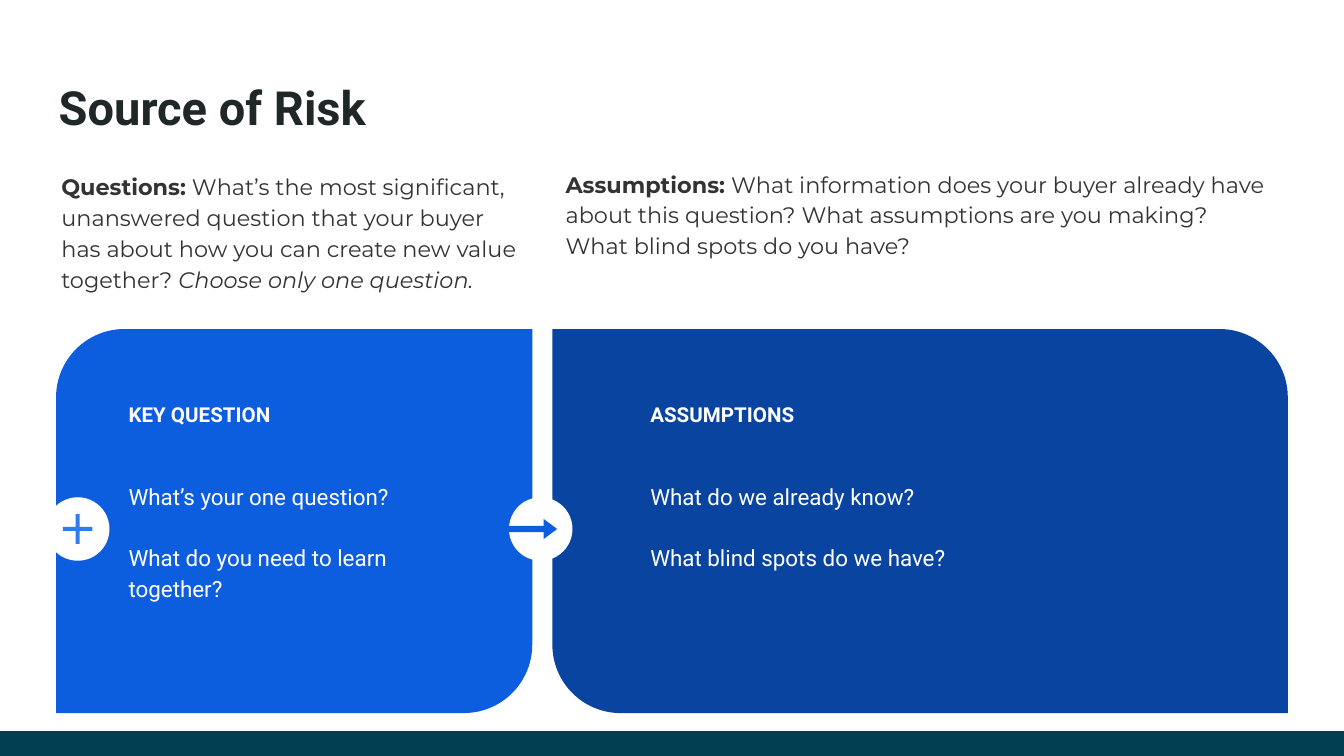
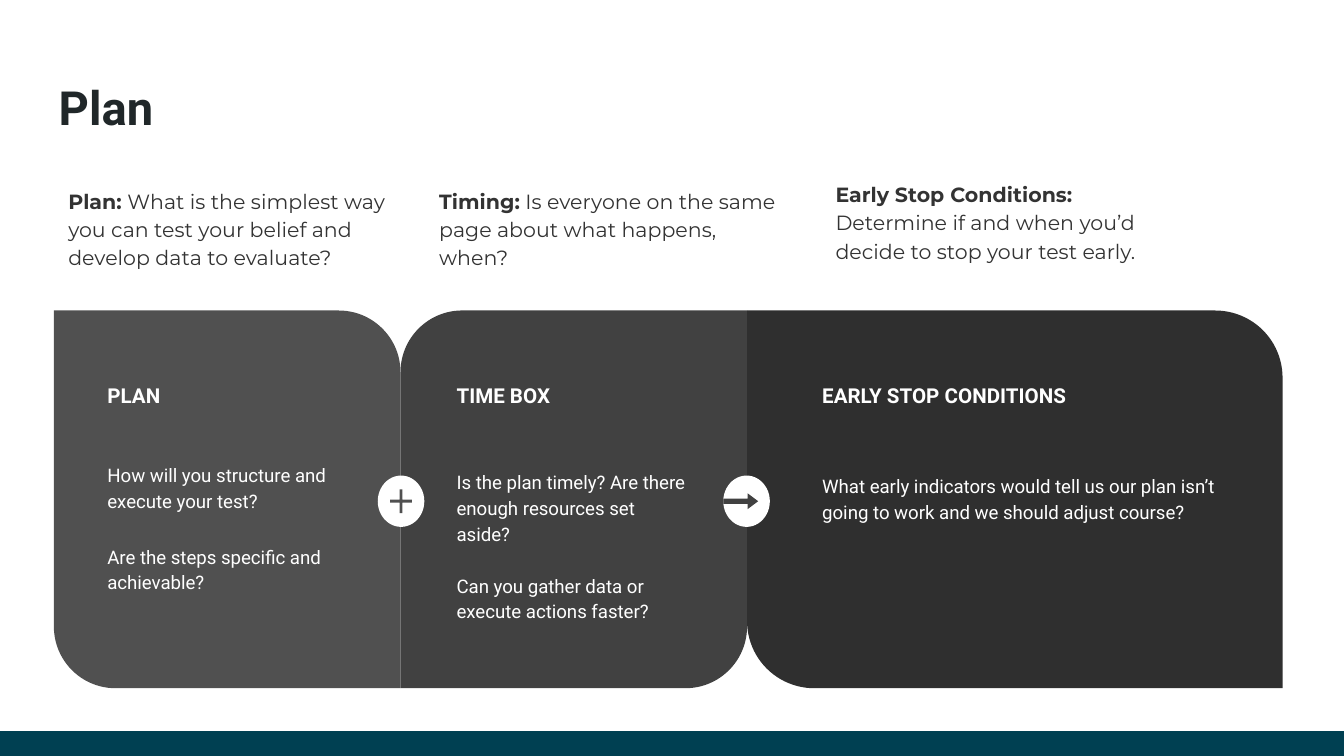
"""Build the two planning slides: Source of Risk and Plan."""
from dataclasses import dataclass

from lxml import etree
from pptx import Presentation
from pptx import util as u
from pptx.dml import color
from pptx.enum import shapes, text
from pptx.oxml import ns


@dataclass(frozen=True)
class Theme:
    ink: str = "202729"
    copy: str = "333333"
    white: str = "FFFFFF"
    band: str = "004052"
    blue: str = "0D5DDF"
    navy: str = "0944A1"
    sky: str = "307BF3"
    light_grey: str = "505050"
    mid_grey: str = "414141"
    dark_grey: str = "2F2F2F"
    title_font: str = "Roboto"
    intro_font: str = "Montserrat"
    title_size: float = 25.2
    heading_size: float = 11
    line_spacing: float = 1.15
    inset: float = 0.25
    corner: float = 0.178


THEME = Theme()


@dataclass(frozen=True)
class Area:
    left: float
    top: float
    width: float
    height: float


@dataclass(frozen=True)
class Span:
    words: str
    bold: bool = False
    italic: bool = False
    break_after: bool = False


@dataclass(frozen=True)
class Intro:
    area: Area
    spans: tuple[Span, ...]


@dataclass(frozen=True)
class Panel:
    area: Area
    fill: str
    rounded_top_left: bool
    heading: str
    heading_area: Area
    prompts: tuple[str, ...]
    prompt_area: Area
    gap: float = 16


@dataclass(frozen=True)
class Badge:
    area: Area
    glyph_width: float
    glyph_height: float
    fill: str
    arrow: bool


@dataclass(frozen=True)
class Content:
    title: str
    intro_size: float
    prompt_size: float
    intros: tuple[Intro, ...]
    panels: tuple[Panel, ...]
    badges: tuple[Badge, ...]


def lengths(area: Area) -> tuple:
    return u.Cm(area.left), u.Cm(area.top), u.Cm(area.width), u.Cm(area.height)


def place(box, area: Area) -> None:
    box.left, box.top, box.width, box.height = lengths(area)


def prepare_frame(box):
    frame = box.text_frame
    frame.word_wrap = True
    frame.auto_size = text.MSO_AUTO_SIZE.NONE
    frame.vertical_anchor = text.MSO_ANCHOR.TOP
    frame.margin_left = frame.margin_right = u.Cm(THEME.inset)
    frame.margin_top = frame.margin_bottom = u.Cm(THEME.inset)
    return frame


def style_span(span, font: str, size: float, ink: str, bold=False, italic=False) -> None:
    span.font.name = font
    span.font.size = u.Pt(size)
    span.font.color.rgb = color.RGBColor.from_string(ink)
    span.font.bold = bold
    span.font.italic = italic


def add_solid(owner, kind, area: Area, fill: str, adjustments: tuple = ()):
    shape = owner.shapes.add_shape(kind, *lengths(area))
    shape.shadow.inherit = False
    shape.fill.solid()
    shape.fill.fore_color.rgb = color.RGBColor.from_string(fill)
    shape.line.fill.background()
    for index, value in enumerate(adjustments):
        shape.adjustments[index] = value
    return shape


def add_words(owner, area: Area, lines: tuple[str, ...], size: float,
              bold=False, spacing=1.0, gap=0.0) -> None:
    frame = prepare_frame(owner.shapes.add_textbox(*lengths(area)))
    frame.text = "\n".join(lines)
    for index, para in enumerate(frame.paragraphs):
        para.line_spacing = spacing
        para.space_before = u.Pt(gap if index else 0)
        for span in para.runs:
            style_span(span, THEME.title_font, size, THEME.white, bold)


def add_panel(page, panel: Panel, prompt_size: float) -> None:
    group = page.shapes.add_group_shape()
    corners = (THEME.corner, 0) if panel.rounded_top_left else (0, THEME.corner)
    add_solid(group, shapes.MSO_SHAPE.ROUND_2_DIAG_RECTANGLE, panel.area, panel.fill, corners)
    add_words(group, panel.heading_area, (panel.heading,), THEME.heading_size, bold=True)
    add_words(group, panel.prompt_area, panel.prompts, prompt_size,
              spacing=THEME.line_spacing, gap=panel.gap)


def add_badge(page, badge: Badge) -> None:
    group = page.shapes.add_group_shape()
    disc = badge.area
    add_solid(group, shapes.MSO_SHAPE.OVAL, disc, THEME.white)
    indent = 0 if badge.arrow else (disc.width - badge.glyph_width) / 2
    glyph = Area(disc.left + indent, disc.top + (disc.height - badge.glyph_height) / 2,
                 badge.glyph_width, badge.glyph_height)
    if badge.arrow:
        add_solid(group, shapes.MSO_SHAPE.RIGHT_ARROW, glyph, badge.fill, (0.32, 0.67))
    else:
        add_solid(group, shapes.MSO_SHAPE.MATH_PLUS, glyph, badge.fill, (0.099,))


def fill_title(page, words: str) -> None:
    title = page.shapes.title
    place(title, Area(0.86, 1.24, 23.67, 1.6))
    prepare_frame(title).text = words
    para = title.text_frame.paragraphs[0]
    para.alignment = text.PP_ALIGN.LEFT
    style_span(para.runs[0], THEME.title_font, THEME.title_size, THEME.ink, bold=True)


def fill_intro(box, intro: Intro, size: float) -> None:
    place(box, intro.area)
    para = prepare_frame(box).paragraphs[0]
    para.line_spacing = THEME.line_spacing
    para.space_before = u.Pt(0)
    settings = para._p.get_or_add_pPr()
    settings.set("marL", "0")
    settings.set("indent", "0")
    etree.SubElement(settings, ns.qn("a:buNone"))
    for item in intro.spans:
        span = para.add_run()
        span.text = item.words
        style_span(span, THEME.intro_font, size, THEME.copy, item.bold, item.italic)
        if item.break_after:
            para.add_line_break()


def add_page(deck, layout, content: Content):
    page = deck.slides.add_slide(layout)
    fill_title(page, content.title)
    bodies = [box for box in page.placeholders if box.placeholder_format.idx]
    for box, intro in zip(bodies, content.intros):
        fill_intro(box, intro, content.intro_size)
    for box in bodies[len(content.intros):]:
        box.element.getparent().remove(box.element)
    for panel in content.panels:
        add_panel(page, panel, content.prompt_size)
    for badge in content.badges:
        add_badge(page, badge)
    return page


def move_band_to_layout(page, layout) -> None:
    band = add_solid(page, shapes.MSO_SHAPE.RECTANGLE, Area(0, 13.82, 25.4, 0.47), THEME.band)
    band.element.xpath("./p:nvSpPr/p:cNvPr")[0].set("id", "100")
    layout.shapes.element.insert(2, band.element)


RISK = Content(
    "Source of Risk", 12, 12,
    intros=(
        Intro(Area(0.91, 2.95, 10.13, 2.82), (
            Span("Questions:", bold=True),
            Span(" What’s the most significant, unanswered question that your buyer ",
                 break_after=True),
            Span("has about how you can create new value together? "),
            Span("Choose only one question.", italic=True))),
        Intro(Area(10.44, 2.9, 13.89, 2.82), (
            Span("Assumptions:", bold=True),
            Span(" What information does your buyer already have about this question? "
                 "What assumptions are you making? What blind spots do you have?"))),
    ),
    panels=(
        Panel(Area(1.06, 6.22, 9, 7.26), THEME.blue, True,
              "KEY QUESTION", Area(2.18, 7.34, 6.73, 1.2),
              ("What’s your one question?", "What do you need to learn together?"),
              Area(2.18, 8.81, 6.73, 3.61)),
        Panel(Area(10.44, 6.22, 13.9, 7.26), THEME.navy, False,
              "ASSUMPTIONS", Area(12.04, 7.34, 11.2, 2.13),
              ("What do we already know?", "What blind spots do we have?"),
              Area(12.04, 8.81, 11.2, 2.36)),
    ),
    badges=(
        Badge(Area(9.62, 9.4, 1.2, 1.2), 0.91, 0.38, THEME.blue, arrow=True),
        Badge(Area(0.87, 9.4, 1.2, 1.2), 0.76, 0.76, THEME.sky, arrow=False),
    ),
)

PLAN = Content(
    "Plan", 11, 10,
    intros=(
        Intro(Area(1.04, 3.25, 7.03, 2.82), (
            Span("Plan:", bold=True),
            Span(" What is the simplest way you can test your belief and "
                 "develop data to evaluate?"))),
        Intro(Area(8.05, 3.25, 7.03, 2.82), (
            Span("Timing:", bold=True),
            Span(" Is everyone on the same page about what happens, when?"))),
        Intro(Area(15.54, 3.12, 7.03, 2.82), (
            Span("Early Stop Conditions:", bold=True),
            Span(" Determine if and when you’d decide to stop your test early."))),
    ),
    panels=(
        Panel(Area(7.57, 5.87, 6.55, 7.14), THEME.mid_grey, True,
              "TIME BOX", Area(8.38, 6.99, 4.9, 2.08),
              ("Is the plan timely? Are there enough resources set aside?",
               "Can you gather data or execute actions faster?"),
              Area(8.38, 8.59, 4.9, 2.82), gap=14),
        Panel(Area(1.02, 5.87, 6.55, 7.14), THEME.light_grey, False,
              "PLAN", Area(1.78, 6.99, 4.9, 2.08),
              ("How will you structure and execute your test?",
               "Are the steps specific and achievable?"),
              Area(1.78, 8.46, 4.9, 2.95)),
        Panel(Area(14.12, 5.87, 10.12, 7.14), THEME.dark_grey, False,
              "EARLY STOP CONDITIONS", Area(15.29, 6.99, 8.15, 2.08),
              ("What early indicators would tell us our plan isn’t going to work "
               "and we should adjust course?",),
              Area(15.29, 8.66, 8.15, 2.74)),
    ),
    badges=(
        Badge(Area(13.67, 8.99, 0.88, 0.97), 0.66, 0.3, THEME.mid_grey, arrow=True),
        Badge(Area(7.14, 8.99, 0.88, 0.97), 0.56, 0.61, THEME.light_grey, arrow=False),
    ),
)


def main() -> None:
    deck = Presentation()
    deck.slide_width, deck.slide_height = u.Cm(25.4), u.Cm(14.29)
    layout = deck.slide_layouts.get_by_name("Comparison")
    pages = [add_page(deck, layout, content) for content in (RISK, PLAN)]
    move_band_to_layout(pages[0], layout)
    deck.save("out.pptx")


if __name__ == "__main__":
    main()
